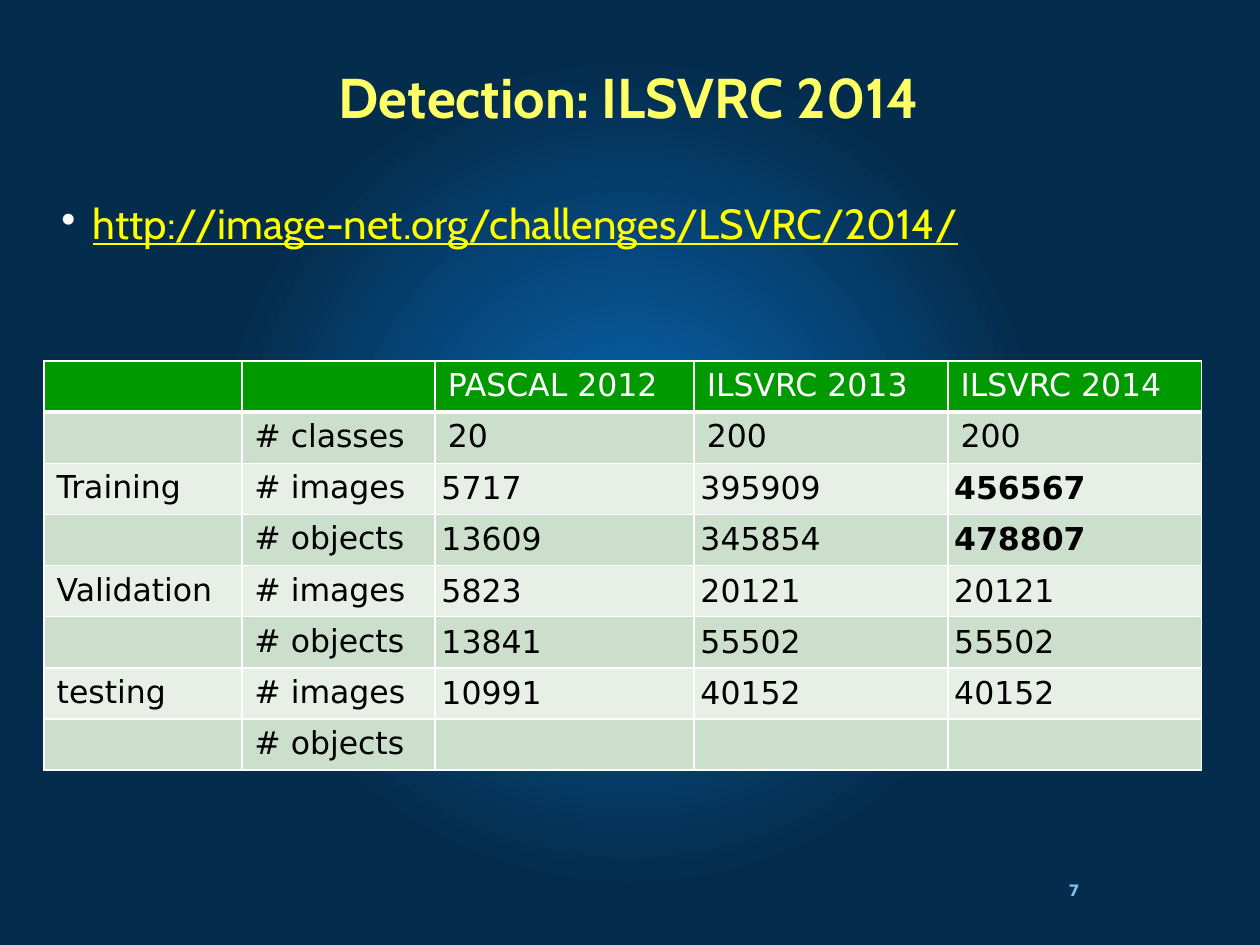
"""Build the ILSVRC 2014 detection slide with its data set table."""
from dataclasses import dataclass
from typing import Any

from pptx import Presentation
from pptx.dml.color import RGBColor as Rgb
from pptx.enum.text import MSO_ANCHOR as Anchor, PP_ALIGN as Align
from pptx.oxml import parse_xml
from pptx.oxml.ns import nsdecls
from pptx.util import Pt


@dataclass(frozen=True)
class Theme:
    glow: str = "0860A8"
    night: str = "042C4C"
    title: str = "FFFF66"
    link: str = "FFFF00"
    number: str = "7FC2F9"
    white: str = "FFFFFF"
    black: str = "000000"
    header: str = "009900"
    bands: tuple[str, str] = ("CCDECC", "E7EFE7")
    heading_font: str = "Cabin"
    body_font: str = "DejaVu Sans"
    title_size: float = 32
    link_size: float = 24
    table_size: float = 18
    number_size: float = 9


@dataclass(frozen=True)
class TextBlock:
    text: str
    frame: tuple[float, float, float, float]
    font: dict[str, Any]
    color: str
    layout: dict[str, Any]
    paragraph: dict[str, Any]
    bullet: str = ""


THEME = Theme()
INSETS = ("margin_left", "margin_top", "margin_right", "margin_bottom")
NO_INSET = dict.fromkeys(INSETS, 0)
VALUE_CELL = {"vertical_anchor": Anchor.MIDDLE, **dict.fromkeys(INSETS, Pt(3.6))}
TABLE_FRAME = (25.2, 206.3, 661.5, 234)
COLUMN_WIDTHS = (113, 110.5, 148, 145, 145)
BOLD_VALUES = {"456567", "478807"}
ROWS = (
    ("", "", "PASCAL 2012", "ILSVRC 2013", "ILSVRC 2014"),
    ("", "# classes", "20", "200", "200"),
    ("Training", "# images", "5717", "395909", "456567"),
    ("", "# objects", "13609", "345854", "478807"),
    ("Validation", "# images", "5823", "20121", "20121"),
    ("", "# objects", "13841", "55502", "55502"),
    ("testing", "# images", "10991", "40152", "40152"),
    ("", "# objects", "", "", ""),
)
BLOCKS = (
    TextBlock("7", (610.6, 496.8, 32.4, 23.8),
              {"name": THEME.body_font, "size": Pt(THEME.number_size), "bold": True},
              THEME.number, {"vertical_anchor": Anchor.MIDDLE, **NO_INSET}, {}),
    TextBlock("Detection: ILSVRC 2014", (28, 12.2, 663, 90),
              {"name": THEME.heading_font, "size": Pt(THEME.title_size), "bold": True},
              THEME.title, {"vertical_anchor": Anchor.MIDDLE},
              {"alignment": Align.CENTER, "line_spacing": 0.9}),
    TextBlock("http://image-net.org/challenges/LSVRC/2014/", (28, 111.6, 662, 58.3),
              {"name": THEME.heading_font, "size": Pt(THEME.link_size), "underline": True},
              THEME.link, {"vertical_anchor": Anchor.TOP}, {"line_spacing": 0.95}, "•"),
)


def apply(target: Any, values: dict[str, Any]) -> None:
    """Set every named attribute on the target."""
    for name, value in values.items():
        setattr(target, name, value)


def paint_background(page: Any) -> None:
    """Fill the page with a round glow that fades to night blue."""
    stops = "".join(
        f'<a:gs pos="{percent * 1000}"><a:srgbClr val="{color}"/></a:gs>'
        for percent, color in ((0, THEME.glow), (6, THEME.glow), (53, THEME.night), (100, THEME.night))
    )
    fill = page.background.fill
    fill.gradient()
    properties = page.element.cSld.bg.bgPr
    properties.replace(properties[0], parse_xml(
        f'<a:gradFill {nsdecls("a")} rotWithShape="1"><a:gsLst>{stops}</a:gsLst>'
        '<a:path path="circle"><a:fillToRect l="50000" t="50000" r="50000" b="50000"/>'
        '</a:path></a:gradFill>'))


def add_bullet(para: Any, symbol: str) -> None:
    """Give the paragraph a white bullet on a hanging indent."""
    properties = para._p.get_or_add_pPr()
    properties.set("marL", str(Pt(18)))
    properties.set("indent", str(-Pt(18)))
    for markup in (f'<a:buClr {nsdecls("a")}><a:srgbClr val="{THEME.white}"/></a:buClr>',
                   f'<a:buChar {nsdecls("a")} char="{symbol}"/>'):
        properties.append(parse_xml(markup))


def add_text(page: Any, block: TextBlock) -> None:
    """Draw one text block."""
    frame = page.shapes.add_textbox(*map(Pt, block.frame)).text_frame
    apply(frame, {"word_wrap": True, **block.layout})
    para = frame.paragraphs[0]
    if block.bullet:
        add_bullet(para, block.bullet)
    apply(para, block.paragraph)
    span = para.add_run()
    span.text = block.text
    apply(span.font, block.font)
    span.font.color.rgb = Rgb.from_string(block.color)


def add_borders(cell: Any, widths: dict[str, float]) -> None:
    """Draw white lines on the four sides of a cell."""
    properties = cell._tc.get_or_add_tcPr()
    for position, (side, width) in enumerate(widths.items()):
        properties.insert(position, parse_xml(
            f'<a:ln{side} {nsdecls("a")} w="{Pt(width)}"><a:solidFill>'
            f'<a:srgbClr val="{THEME.white}"/></a:solidFill></a:ln{side}>'))


def fill_cell(cell: Any, text: str, row: int, column: int) -> None:
    """Write and colour one table cell."""
    fill_color = THEME.bands[(row - 1) % 2] if row else THEME.header
    cell.fill.solid()
    cell.fill.fore_color.rgb = Rgb.from_string(fill_color)
    add_borders(cell, {"L": 1, "R": 1, "T": 3 if row == 1 else 1, "B": 1 if row else 3})
    if not text:
        return
    if row > 1 and column > 1:
        apply(cell, VALUE_CELL)
    span = cell.text_frame.paragraphs[0].add_run()
    span.text = text
    apply(span.font, {"name": THEME.body_font, "size": Pt(THEME.table_size),
                      "bold": text in BOLD_VALUES})
    span.font.color.rgb = Rgb.from_string(THEME.black if row else THEME.white)


def add_data_table(page: Any) -> None:
    """Draw the data set comparison table."""
    table = page.shapes.add_table(len(ROWS), len(COLUMN_WIDTHS), *map(Pt, TABLE_FRAME)).table
    apply(table, {"first_row": False, "horz_banding": False})
    for column, width in zip(table.columns, COLUMN_WIDTHS):
        column.width = Pt(width)
    for row, texts in enumerate(ROWS):
        for column, text in enumerate(texts):
            fill_cell(table.cell(row, column), text, row, column)


def main() -> None:
    """Build and save the deck."""
    deck = Presentation()
    apply(deck, {"slide_width": Pt(720), "slide_height": Pt(540)})
    page = deck.slides.add_slide(deck.slide_layouts[6])
    paint_background(page)
    for block in BLOCKS:
        add_text(page, block)
    add_data_table(page)
    deck.save("out.pptx")


if __name__ == "__main__":
    main()
